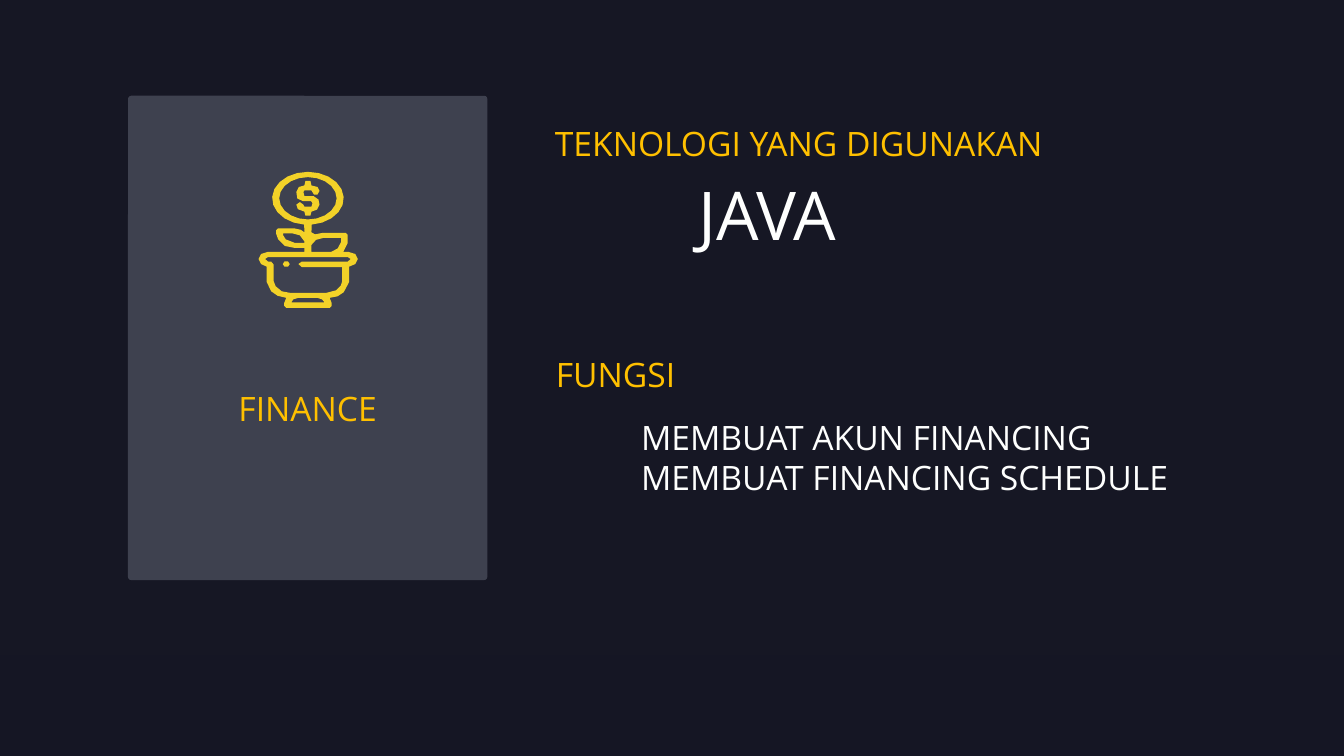
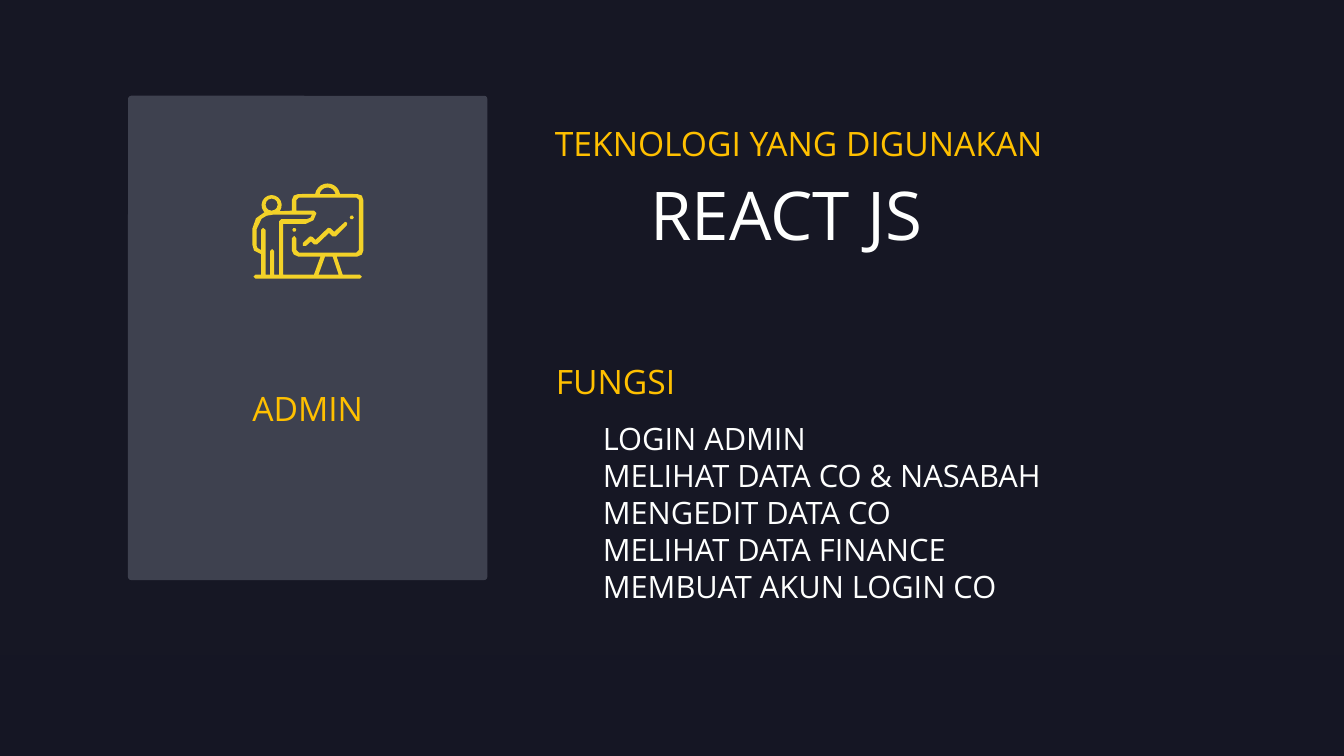
from math import cos, radians, sin

from pptx import Presentation
from pptx.dml.color import RGBColor
from pptx.enum.shapes import MSO_SHAPE
from pptx.enum.text import PP_ALIGN
from pptx.util import Pt

RECTANGLE = MSO_SHAPE.RECTANGLE
ROUNDED = MSO_SHAPE.ROUNDED_RECTANGLE
LEFT, CENTER = PP_ALIGN.LEFT, PP_ALIGN.CENTER

FONT = "Open Sans"
BACKGROUND, FOOTER, CARD = "161724", "151624", "3E414F"
GOLD, WHITE, ICON = "FFC000", "FEFFFE", "F3D228"

SLIDE_W, SLIDE_H = 1920, 1080
FOOTER_H = 144
CARD_BOX = (182.88, 136.8, 513.36, 691.92)
DETAILS_BOX = (789.84, 172.08, 1002.24, 720)
GRID = Pt(0.72)  # one unit of the icon drawings


def color(hex_string):
    return RGBColor.from_string(hex_string)


def ellipse(cx, cy, rx, ry, start=0, end=360, steps=20):
    """Points of an elliptical arc, angles in degrees, clockwise on the slide."""
    angles = [radians(start + (end - start) * i / steps) for i in range(steps + 1)]
    return [(cx + rx * cos(a), cy + ry * sin(a)) for a in angles]


def dot(cx, cy, rx, ry):
    return ellipse(cx, cy, rx, ry, steps=6)


def money_plant():
    silhouette = ellipse(98, 52.5, 71, 52.5, 96, 444) + [
        (105, 120), (112, 124), (128, 121), (173, 121), (177, 125), (177, 141),
        (168, 159), (179, 159), (192, 163), (197, 173), (192, 183), (180, 188),
        (180, 218), (169, 239), (157, 247), (141, 250), (145, 260), (145, 266),
        (141, 270), (55, 270), (51, 266), (51, 260), (55, 250), (38, 246),
        (25, 237), (16, 218), (16, 188), (5, 183), (0, 173), (5, 163),
        (18, 159), (91, 159), (91, 151), (72, 151), (52, 147), (39, 134),
        (35, 123), (35, 116), (39, 112), (70, 112), (84, 115), (91, 120)]
    dollar = [
        (93, 18), (103, 18), (105, 27), (117, 30), (121, 38), (117, 45),
        (110, 45), (105, 37), (91, 37), (89, 40), (91, 48), (109, 48),
        (119, 55), (121, 65), (116, 75), (105, 79), (103, 87), (93, 87),
        (91, 79), (78, 74), (75, 65), (82, 60), (89, 65), (91, 69),
        (105, 69), (107, 62), (104, 58), (88, 58), (77, 53), (75, 40),
        (80, 30), (91, 27)]
    left_leaf = [(49, 122), (67, 122), (82, 126), (91, 138), (91, 141),
                 (72, 141), (54, 134), (49, 126)]
    right_leaf = [(129, 131), (164, 131), (164, 139), (157, 152),
                  (144, 159), (105, 159), (105, 145), (114, 135)]
    pot = [
        (19, 169), (177, 169), (183, 173), (177, 178), (86, 178), (79, 183),
        (86, 189), (166, 189), (166, 217), (163, 226), (154, 235), (135, 240),
        (62, 240), (46, 237), (34, 227), (30, 217), (30, 184), (25, 178),
        (19, 178), (13, 173)]
    base = [(65, 259), (69, 253), (79, 250), (117, 250), (126, 253), (131, 259)]
    return [silhouette, ellipse(98, 52.5, 57, 42), dollar, left_leaf,
            right_leaf, pot, dot(55, 183, 7, 6), base]


def presenter():
    silhouette = ellipse(149, 25, 25, 25, 190, 350, 10) + [
        (208, 21), (217, 24), (220, 33), (220, 133), (217, 141), (208, 145),
        (167, 145), (179, 181), (213, 181), (217, 185), (213, 189), (6, 189),
        (2, 185), (6, 181), (17, 181), (17, 140), (3, 133), (0, 122),
        (0, 89), (7, 69), (24, 57)] + ellipse(38, 43, 20, 20, 140, 397, 12) + [
            (78, 54), (78, 33), (82, 24), (91, 21)]
    arch = ellipse(149, 24, 16, 16, 190, 350, 8)
    board = [
        (92, 28), (206, 28), (211, 32), (211, 132), (206, 137), (92, 137),
        (87, 132), (87, 109), (83, 104), (78, 109), (78, 133), (82, 141),
        (91, 145), (135, 145), (122, 181), (61, 181), (61, 80), (106, 80),
        (121, 73), (127, 59), (122, 54), (87, 54), (87, 33)]
    body = [
        (40, 62), (118, 62), (115, 68), (107, 71), (57, 71), (53, 75), (53, 181),
        (43, 181), (43, 134), (39, 130), (35, 134), (35, 181), (26, 181),
        (26, 92), (21, 88), (17, 92), (17, 132), (10, 128), (8, 123),
        (8, 91), (18, 70), (28, 64)]
    trend = [
        (184, 76), (162, 96), (155, 89), (150, 88), (125, 112), (119, 106),
        (114, 105), (100, 118), (100, 124), (106, 124), (116, 115), (122, 121),
        (128, 121), (152, 98), (159, 105), (165, 105), (187, 83), (188, 78)]
    easel = [(144, 145), (159, 145), (171, 181), (131, 181)]
    return [silhouette, arch, ellipse(38, 42, 12, 12, steps=12), board, body,
            trend, easel, dot(197, 67.5, 4, 4), dot(83, 92, 4, 4)]


def paint(shape, fill):
    shape.shadow.inherit = False
    shape.fill.solid()
    shape.fill.fore_color.rgb = color(fill)
    shape.line.fill.background()


def add_block(shapes, kind, box, fill):
    block = shapes.add_shape(kind, *map(Pt, box))
    paint(block, fill)
    return block


def add_text(shapes, box, lines, size, fill, align=LEFT):
    frame = shapes.add_textbox(*map(Pt, box)).text_frame
    frame.word_wrap = True
    frame.margin_left = frame.margin_right = Pt(2.88)
    frame.margin_top = frame.margin_bottom = Pt(2.88)
    frame.text = "\n".join(lines)
    for paragraph in frame.paragraphs:
        paragraph.alignment = align
        paragraph.font.name = FONT
        paragraph.font.size = Pt(size)
        paragraph.font.color.rgb = color(fill)


def add_icon(shapes, left, top, outlines):
    """Draw all outlines as one shape; inner outlines cut holes."""
    placed = [[(round(Pt(left) + x * GRID), round(Pt(top) + y * GRID))
               for x, y in outline] for outline in outlines]
    builder = shapes.build_freeform(*placed[0][0])
    builder.add_line_segments(placed[0][1:])
    for outline in placed[1:]:
        builder.move_to(*outline[0])
        builder.add_line_segments(outline[1:])
    paint(builder.convert_to_shape(), ICON)


def add_footer(slide):
    footer = add_block(slide.shapes, RECTANGLE,
                       (0, SLIDE_H - FOOTER_H, SLIDE_W, FOOTER_H), FOOTER)
    footer.line.color.rgb = color(FOOTER)
    footer.line.width = Pt(1)


def add_card(slide, box, role):
    left, top, width, _ = box
    card = slide.shapes.add_group_shape().shapes
    panel = add_block(card, ROUNDED, box, CARD)
    panel.adjustments[0] = 0.009
    label_w = 362.88
    add_text(card, (left + (width - label_w) / 2, top + 414.72, label_w, 50.4),
             [role], 48, GOLD, CENTER)


def add_technology(slide, box, content):
    left, top, _, _ = box
    add_text(slide.shapes,
             (left + content["technology_indent"], top + 72.72, 544.32, 135.36),
             [content["technology"]], 96, WHITE)


def add_functions(slide, box, content):
    left, top, _, _ = box
    dx, dy, list_w, list_h = content["functions_box"]
    add_text(slide.shapes, (left + dx, top + dy, list_w, list_h),
             content["functions"], content["functions_size"], WHITE)


def add_headings(slide, box, functions_top):
    left, top, _, _ = box
    add_text(slide.shapes, (left, top, 879.12, 84.24),
             ["TEKNOLOGI YANG DIGUNAKAN"], 48, GOLD)
    add_text(slide.shapes, (left + 1.44, top + functions_top, 203.76, 84.24),
             ["FUNGSI"], 48, GOLD)


ROLES = [
    dict(role="FINANCE", icon=money_plant(), icon_offset=(186.48, 108.72),
         technology="JAVA", technology_indent=205.2, functions_top=330.48,
         functions=["MEMBUAT AKUN FINANCING", "MEMBUAT FINANCING SCHEDULE"],
         functions_box=(123.12, 420.48, 879.12, 168.48), functions_size=48),
    dict(role="ADMIN", icon=presenter(), icon_offset=(177.84, 125.28),
         technology="REACT JS", technology_indent=136.08, functions_top=340.56,
         functions=["LOGIN ADMIN", "MELIHAT DATA CO & NASABAH", "MENGEDIT DATA CO",
                    "MELIHAT DATA FINANCE", "MEMBUAT AKUN LOGIN CO"],
         functions_box=(68.4, 424.8, 680.4, 298.8), functions_size=44),
]


def add_role_slide(deck, content):
    slide = deck.slides.add_slide(deck.slide_layouts[6])
    slide.background.fill.solid()
    slide.background.fill.fore_color.rgb = color(BACKGROUND)
    add_card(slide, CARD_BOX, content["role"])
    add_technology(slide, DETAILS_BOX, content)
    add_footer(slide)
    add_functions(slide, DETAILS_BOX, content)
    add_headings(slide, DETAILS_BOX, content["functions_top"])
    dx, dy = content["icon_offset"]
    add_icon(slide.shapes, CARD_BOX[0] + dx, CARD_BOX[1] + dy, content["icon"])


def main():
    deck = Presentation()
    deck.slide_width, deck.slide_height = Pt(SLIDE_W), Pt(SLIDE_H)
    for content in ROLES:
        add_role_slide(deck, content)
    deck.save("out.pptx")


if __name__ == "__main__":
    main()
